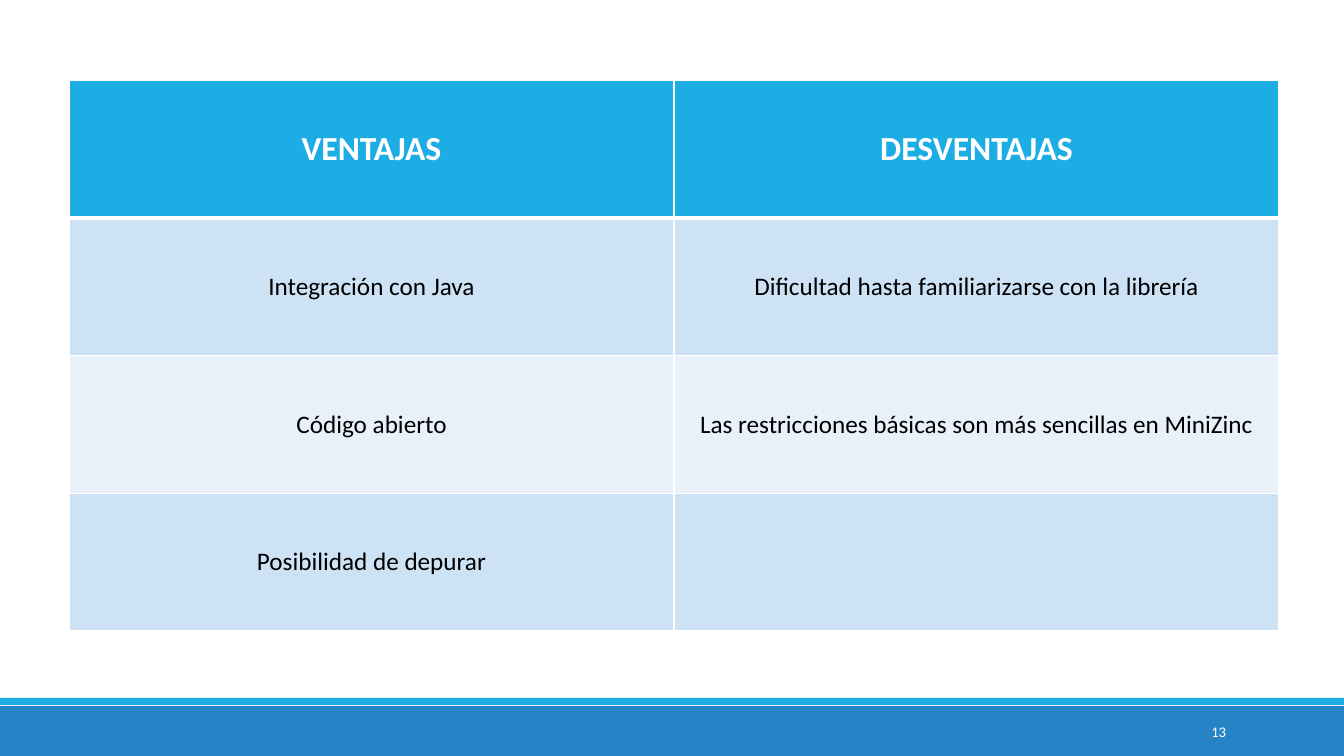
from pptx import Presentation
from pptx import util as u
from pptx.dml.color import RGBColor
from pptx.enum import shapes, text
from pptx.oxml import parse_xml
from pptx.oxml.ns import nsdecls

PX = u.Inches(1) / 100.8
WHITE = RGBColor(0xFF, 0xFF, 0xFF)
BLACK = RGBColor(0x00, 0x00, 0x00)
CYAN = RGBColor(0x1C, 0xAD, 0xE4)
BLUE = RGBColor(0x26, 0x83, 0xC6)
BAND_DARK = RGBColor(0xCD, 0xE3, 0xF5)
BAND_LIGHT = RGBColor(0xE8, 0xF1, 0xFA)

COMPARISON = [
    ("VENTAJAS", "DESVENTAJAS"),
    ("Integración con Java", "Dificultad hasta familiarizarse con la librería"),
    ("Código abierto", "Las restricciones básicas son más sencillas en MiniZinc"),
    ("Posibilidad de depurar", ""),
]


def px(*lengths):
    return [u.Emu(round(length * PX)) for length in lengths]


class SlideBuilder:
    font = "Calibri"

    def __init__(self, slide):
        self.slide = slide

    def set_text(self, frame, words, size, color, align, bold=False):
        frame.text = words
        paragraph = frame.paragraphs[0]
        paragraph.alignment = align
        for run in paragraph.runs:
            run.font.name = self.font
            run.font.size = u.Pt(size)
            run.font.bold = bold
            run.font.color.rgb = color

    def bar(self, left, top, width, height, color):
        band = self.slide.shapes.add_shape(
            shapes.MSO_SHAPE.RECTANGLE, *px(left, top, width, height))
        band.shadow.inherit = False
        band.fill.solid()
        band.fill.fore_color.rgb = color
        band.line.fill.background()

    def label(self, left, top, width, height, words, size, color, align):
        frame = self.slide.shapes.add_textbox(*px(left, top, width, height)).text_frame
        frame.word_wrap = True
        frame.vertical_anchor = text.MSO_ANCHOR.MIDDLE
        self.set_text(frame, words, size, color, align)

    def borders(self, cell, top, bottom):
        properties = cell._tc.get_or_add_tcPr()
        widths = {"lnL": 1, "lnR": 1, "lnT": top, "lnB": bottom}
        for position, (side, points) in enumerate(widths.items()):
            properties.insert(position, parse_xml(
                f'<a:{side} {nsdecls("a")} w="{u.Pt(points)}"><a:solidFill>'
                f'<a:srgbClr val="{WHITE}"/></a:solidFill></a:{side}>'))

    def table(self, left, top, width, height, rows):
        grid = self.slide.shapes.add_table(
            len(rows), len(rows[0]), *px(left, top, width, height)).table
        for row, entries in enumerate(rows):
            header = row == 0
            fill = CYAN if header else (BAND_LIGHT, BAND_DARK)[row % 2]
            for column, words in enumerate(entries):
                cell = grid.cell(row, column)
                cell.vertical_anchor = text.MSO_ANCHOR.MIDDLE
                cell.fill.solid()
                cell.fill.fore_color.rgb = fill
                self.borders(cell, 3 if row == 1 else 1, 3 if header else 1)
                self.set_text(cell.text_frame, words, 24 if header else 18,
                              WHITE if header else BLACK,
                              text.PP_ALIGN.CENTER, header)


def main():
    deck = Presentation()
    deck.slide_width, deck.slide_height = px(1344, 756)
    builder = SlideBuilder(deck.slides.add_slide(deck.slide_layouts[6]))
    builder.bar(0, 706, 1344, 50, BLUE)
    builder.bar(0, 698, 1344, 7, CYAN)
    builder.table(69, 80, 1210, 551, COMPARISON)
    builder.label(1092, 712, 144, 40, "13", 10.5, WHITE, text.PP_ALIGN.RIGHT)
    deck.save("out.pptx")


if __name__ == "__main__":
    main()
